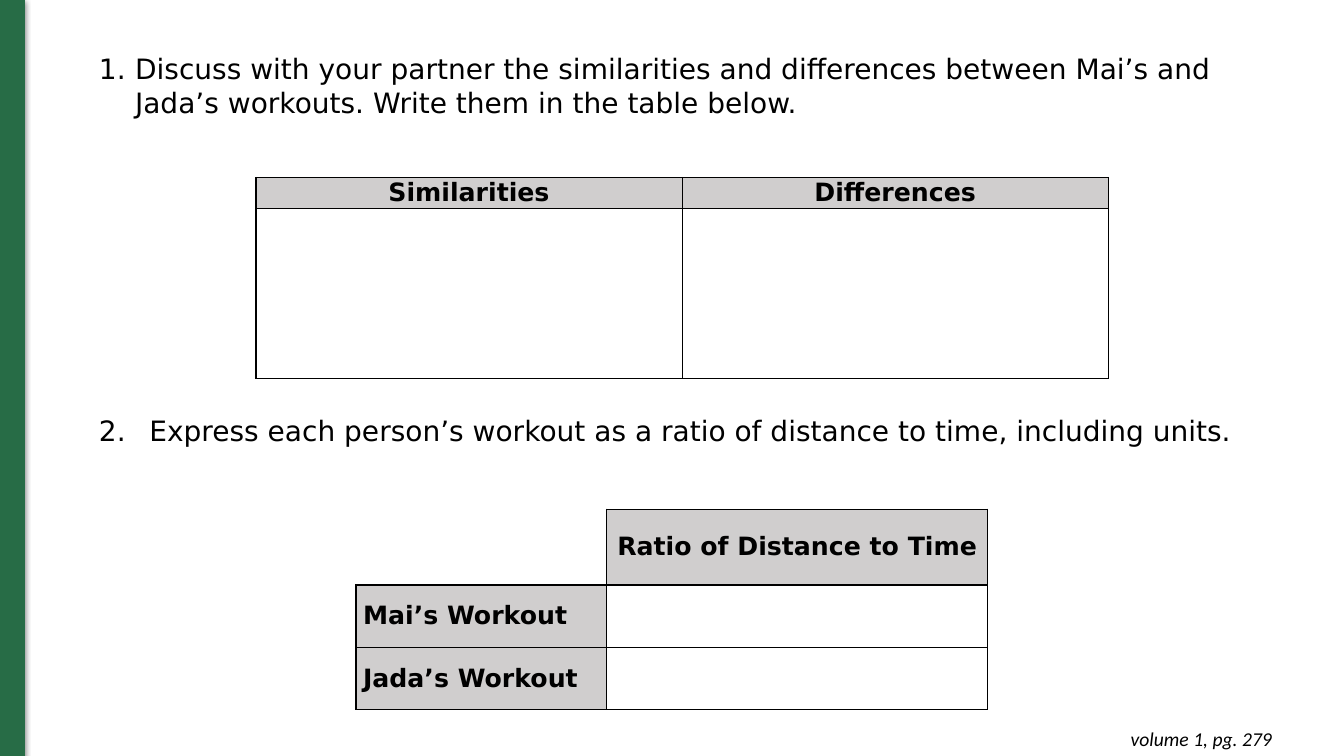
import pptx
import pptx.util
import pptx.dml.color
import pptx.enum.shapes
import pptx.enum.text
import pptx.oxml
import pptx.oxml.ns

Cm, Pt = pptx.util.Cm, pptx.util.Pt
RGBColor = pptx.dml.color.RGBColor
ALIGN = pptx.enum.text.PP_ALIGN
ANCHOR = pptx.enum.text.MSO_ANCHOR
GREEN = RGBColor(0x27, 0x6C, 0x46)
GREY = RGBColor(0xD0, 0xCE, 0xCE)
BLACK = RGBColor(0, 0, 0)

QUESTIONS = [
    {"text": "Discuss with your partner the similarities and differences between "
             "Mai’s and Jada’s workouts. Write them in the table below.",
     "box": (1.88, 1.17, 30.78, 1.96), "margin": 1.27, "indent": -0.91},
    {"text": "Express each person’s workout as a ratio of distance to time, "
             "including units.",
     "box": (1.88, 10.29, 29.82, 1.12), "margin": 1.63, "indent": -1.27},
]
TABLES = [
    {"at": (6.45, 4.47), "cols": (10.74, 10.74), "rows": (0.79, 4.27),
     "cells": [["Similarities", "Differences"], ["", ""]], "open_corner": False},
    {"at": (8.97, 12.83), "cols": (6.32, 9.6), "rows": (1.91, 1.57, 1.57),
     "cells": [["", "Ratio of Distance to Time"], ["Mai’s Workout", ""],
               ["Jada’s Workout", ""]], "open_corner": True},
]
PAGE_NOTE = "volume 1, pg. 279"
NOTE_BOX = (24.99, 18.06, 7.32, 1.12)
BAR_BOX = (0, 0, 0.61, 19.08)

QUESTION_FONT = {"name": "DejaVu Sans", "size": Pt(20)}
HEADER_FONT = {"name": "DejaVu Sans", "size": Pt(18), "bold": True}
NOTE_FONT = {"name": "Calibri", "size": Pt(14), "italic": True}
NO_SPACE = {"space_before": Pt(0), "space_after": Pt(0), "line_spacing": 1.0}
CELL_FORMAT = {"margin_left": Cm(0.18), "margin_right": Cm(0.18),
               "margin_top": 0, "margin_bottom": 0,
               "vertical_anchor": ANCHOR.MIDDLE}
FRAME_FORMAT = {"word_wrap": True, "vertical_anchor": ANCHOR.TOP,
                "auto_size": pptx.enum.text.MSO_AUTO_SIZE.SHAPE_TO_FIT_TEXT}


def apply(target, values):
    for name, value in values.items():
        setattr(target, name, value)


def place(box):
    return dict(zip(("left", "top", "width", "height"), map(Cm, box)))


def add_xml(parent, xml):
    ns = pptx.oxml.ns.nsdecls("a")
    tag, rest = xml.split(" ", 1)
    parent.append(pptx.oxml.parse_xml(f"{tag} {ns} {rest}"))


def write(p, text, font):
    r = p.add_run()
    r.text = text
    apply(r.font, font)
    r.font.color.rgb = BLACK


def add_bar(s):
    bar = s.shapes.add_shape(pptx.enum.shapes.MSO_SHAPE.RECTANGLE,
                             *map(Cm, BAR_BOX))
    bar.fill.solid()
    bar.fill.fore_color.rgb = GREEN
    bar.line.color.rgb = GREEN
    bar.line.width = Pt(0.75)
    add_xml(bar._element.spPr,
            f'<a:effectLst ><a:outerShdw blurRad="{Pt(4.5)}" dist="{Pt(1.5)}" '
            'dir="5400000" rotWithShape="0"><a:srgbClr val="000000">'
            '<a:alpha val="50000"/></a:srgbClr></a:outerShdw></a:effectLst>')


def add_question(sp, number, question):
    apply(sp, place(question["box"]))
    tf = sp.text_frame
    apply(tf, FRAME_FORMAT)
    p = tf.paragraphs[0]
    pPr = p._p.get_or_add_pPr()
    pPr.set("marL", str(Cm(question["margin"])))
    pPr.set("indent", str(Cm(question["indent"])))
    add_xml(pPr, f'<a:buClr ><a:srgbClr val="{BLACK}"/></a:buClr>')
    add_xml(pPr, f'<a:buFont typeface="{QUESTION_FONT["name"]}"/>')
    add_xml(pPr, f'<a:buAutoNum type="arabicPeriod" startAt="{number}"/>')
    apply(p, NO_SPACE)
    write(p, question["text"], QUESTION_FONT)


def format_cell(cell, text, align, sides):
    tcPr = cell._tc.get_or_add_tcPr()
    for side in sides:
        add_xml(tcPr, f'<a:ln{side} w="{Pt(1)}"><a:solidFill><a:srgbClr '
                      f'val="{BLACK}"/></a:solidFill></a:ln{side}>')
    if not text:
        cell.fill.background()
        return
    cell.fill.solid()
    cell.fill.fore_color.rgb = GREY
    apply(cell, CELL_FORMAT)
    p = cell.text_frame.paragraphs[0]
    apply(p, {"alignment": align, "space_after": Pt(10)})
    write(p, text, HEADER_FONT)


def add_grid(s, grid):
    cols, rows = grid["cols"], grid["rows"]
    size = (sum(cols), sum(rows))
    table = s.shapes.add_table(len(rows), len(cols),
                               *map(Cm, grid["at"] + size)).table
    apply(table, {"first_row": False, "horz_banding": False})
    for column, width in zip(table.columns, cols):
        column.width = Cm(width)
    for row, height in zip(table.rows, rows):
        row.height = Cm(height)
    for i, texts in enumerate(grid["cells"]):
        for j, text in enumerate(texts):
            corner = grid["open_corner"] and i == j == 0
            format_cell(table.cell(i, j), text,
                        ALIGN.CENTER if i == 0 else ALIGN.LEFT,
                        "RB" if corner else "LRTB")


def add_note(s):
    tf = s.shapes.add_textbox(*map(Cm, NOTE_BOX)).text_frame
    apply(tf, FRAME_FORMAT)
    apply(tf, {f"margin_{side}": Cm(0.25)
               for side in ("left", "right", "top", "bottom")})
    p = tf.paragraphs[0]
    p.alignment = ALIGN.RIGHT
    write(p, PAGE_NOTE, NOTE_FONT)


def main():
    prs = pptx.Presentation()
    apply(prs, {"slide_width": Cm(33.87), "slide_height": Cm(19.05)})
    s = prs.slides.add_slide(prs.slide_layouts.get_by_name("Two Content"))
    title, *bodies = s.placeholders
    title._element.getparent().remove(title._element)
    add_bar(s)
    for number, (sp, question) in enumerate(zip(bodies, QUESTIONS), 1):
        add_question(sp, number, question)
    for grid in TABLES:
        add_grid(s, grid)
    add_note(s)
    prs.save("out.pptx")


if __name__ == "__main__":
    main()
